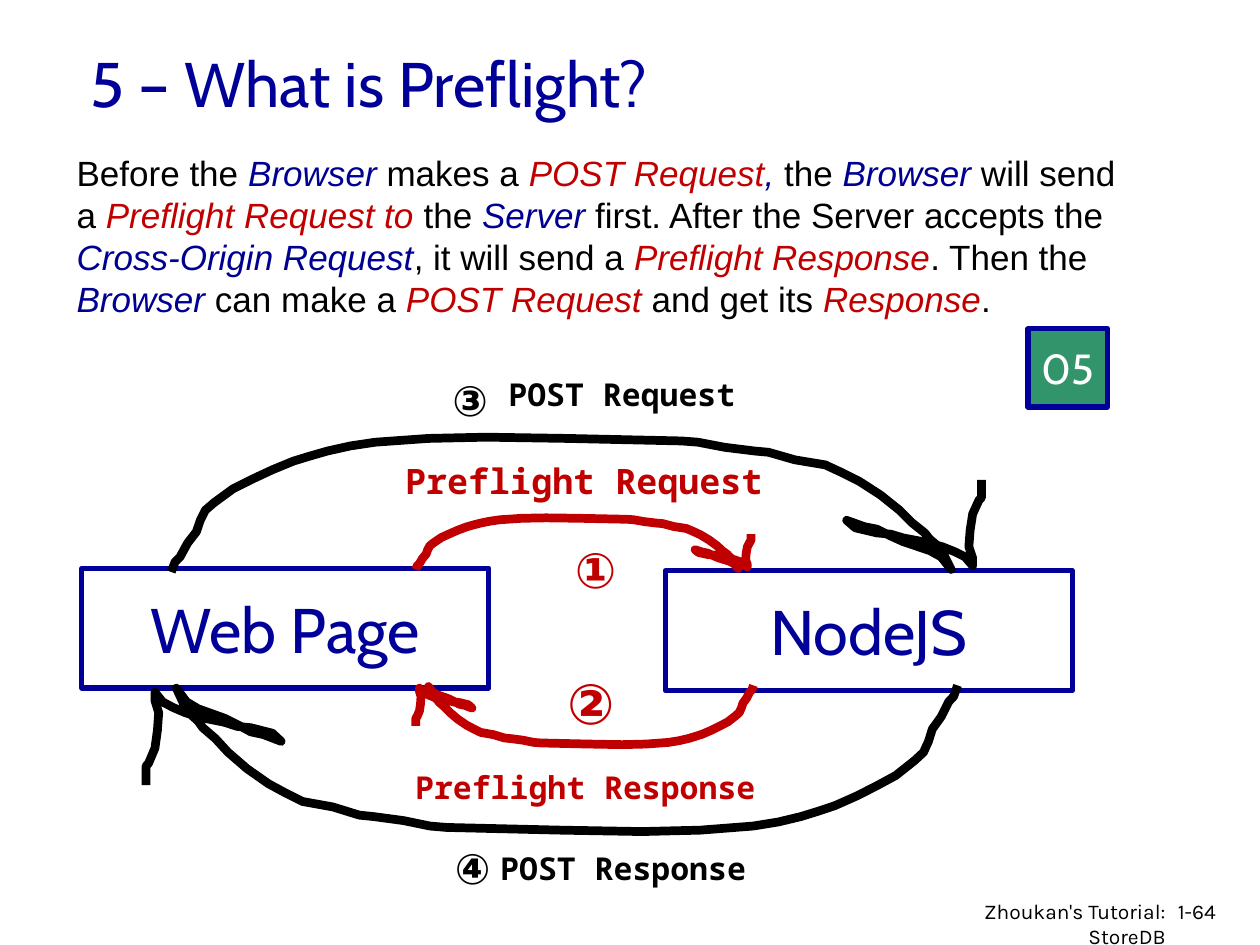
from lxml import etree
from pptx import Presentation
from pptx.dml.color import RGBColor
from pptx.enum.shapes import MSO_SHAPE
from pptx.enum.text import MSO_ANCHOR, PP_ALIGN
from pptx.oxml.ns import qn
from pptx.util import Inches, Pt

LEFT, CENTER, RIGHT = PP_ALIGN.LEFT, PP_ALIGN.CENTER, PP_ALIGN.RIGHT
RECT, PROCESS = MSO_SHAPE.RECTANGLE, MSO_SHAPE.FLOWCHART_PROCESS
TOP, MIDDLE = MSO_ANCHOR.TOP, MSO_ANCHOR.MIDDLE
MONO = "Noto Sans Mono"
BLACK, RED, NAVY, BLUE = "000000", "C00000", "000099", "000090"
WHITE, GREEN = "FFFFFF", "32946A"


def rgb(code):
    return RGBColor.from_string(code)


def write(shape, text, size, face, color, align=LEFT, bold=False, anchor=TOP):
    frame = shape.text_frame
    frame.word_wrap = True
    frame.vertical_anchor = anchor
    para = frame.paragraphs[0]
    para.text = text
    para.alignment = align
    font = para.font
    font.size, font.name, font.bold = Pt(size), face, bold
    font.color.rgb = rgb(color)
    return para


prs = Presentation()
prs.slide_width, prs.slide_height = Inches(10), Inches(7.5)
shapes = prs.slides.add_slide(prs.slide_layouts[6]).shapes

# Boxes: left, top, width, height, preset, fill, text, size, text colour
boxes = [
    (0.65, 4.51, 3.23, 0.95, RECT, WHITE, "Web Page", 36, NAVY),
    (5.28, 4.53, 3.23, 0.95, RECT, WHITE, "NodeJS", 36, NAVY),
    (8.16, 2.61, 0.63, 0.62, PROCESS, GREEN, "05", 24, WHITE),
]
for x, y, w, h, kind, fill, text, size, color in boxes:
    box = shapes.add_shape(kind, Inches(x), Inches(y), Inches(w), Inches(h))
    box.shadow.inherit = False
    box.fill.solid()
    box.fill.fore_color.rgb = rgb(fill)
    box.line.color.rgb = rgb(NAVY)
    box.line.width = Pt(3)
    write(box, text, size, "Cabin", color, CENTER, anchor=MIDDLE)

# Hand-drawn arrow: one outline, fitted to four places
outline = [
    (1.36, 4.54), (1.39, 4.46), (1.43, 4.42), (1.49, 4.31), (1.56, 4.22),
    (1.59, 4.13), (1.63, 4.05), (1.70, 3.99), (1.85, 3.88), (2.01, 3.80),
    (2.16, 3.73), (2.33, 3.66), (2.46, 3.62), (2.60, 3.58), (2.78, 3.54),
    (2.98, 3.51), (3.40, 3.48), (3.86, 3.47), (4.50, 3.48), (5.41, 3.50),
    (5.54, 3.51), (5.75, 3.55), (5.99, 3.58), (6.10, 3.59), (6.31, 3.65),
    (6.55, 3.69), (6.68, 3.75), (6.82, 3.82), (6.99, 3.93), (7.14, 4.05),
    (7.24, 4.15), (7.34, 4.23), (7.38, 4.28), (7.44, 4.33), (7.48, 4.38),
    (7.52, 4.46), (7.55, 4.52), (7.47, 4.42), (7.38, 4.37), (7.17, 4.30),
    (7.06, 4.25), (6.96, 4.20), (6.86, 4.18), (6.72, 4.13), (6.79, 4.19),
    (6.96, 4.23), (7.07, 4.24), (7.17, 4.27), (7.33, 4.30), (7.48, 4.34),
    (7.58, 4.38), (7.66, 4.42), (7.72, 4.49), (7.72, 4.43), (7.69, 4.34),
    (7.70, 4.21), (7.72, 4.08), (7.77, 3.97), (7.79, 3.95), (7.79, 3.81),
]
# Start x, end x, foot y, crest y, colour
arrows = [
    (3.30, 5.96, 4.52, 4.11, RED),
    (5.98, 3.30, 5.44, 5.91, RED),
    (7.60, 1.16, 5.44, 6.60, BLACK),
    (1.36, 7.79, 4.54, 3.47, BLACK),
]
for start, end, foot, crest, color in arrows:
    spots = [(Inches(start + (x - 1.36) / 6.43 * (end - start)),
              Inches(foot + (4.54 - y) / 1.07 * (crest - foot)))
             for x, y in outline]
    pen = shapes.build_freeform(*spots[0], scale=1.0)
    pen.add_line_segments(spots[1:], close=False)
    arrow = pen.convert_to_shape()
    arrow.shadow.inherit = False
    arrow.fill.background()
    arrow.line.color.rgb = rgb(color)
    arrow.line.width = Pt(5)
    etree.SubElement(arrow.line._get_or_add_ln(), qn("a:round"))

# Title, footer, arrow labels and step numbers
labels = [
    (0.62, 0.30, 7.64, 0.71, "5 – What is Preflight?", 36, "Cabin", NAVY, LEFT),
    (9.25, 7.08, 0.50, 0.30, "1-64", 12, "Karla", BLACK, LEFT),
    (6.97, 7.08, 2.38, 0.26, "Zhoukan's Tutorial:\vStoreDB", 12, "Karla", BLACK, RIGHT),
    (3.02, 3.60, 3.23, 0.44, "Preflight Request", 20, MONO, RED, CENTER),
    (3.18, 6.05, 2.93, 0.40, "Preflight Response", 18, MONO, RED, CENTER),
    (3.91, 2.93, 2.05, 0.40, "POST Request", 18, MONO, BLACK, CENTER),
    (3.79, 6.69, 2.31, 0.40, "POST Response", 18, MONO, BLACK, CENTER),
    (4.15, 4.23, 0.84, 0.57, "①", 28, MONO, RED, RIGHT),
    (4.25, 5.26, 0.73, 0.64, "②", 32, MONO, RED, RIGHT),
    (3.43, 2.92, 0.54, 0.50, "③", 24, MONO, BLACK, RIGHT),
    (3.41, 6.64, 0.58, 0.50, "④", 24, MONO, BLACK, RIGHT),
]
for x, y, w, h, text, size, face, color, align in labels:
    label = shapes.add_textbox(Inches(x), Inches(y), Inches(w), Inches(h))
    write(label, text, size, face, color, align, bold=face == MONO)

# Explanation, with coloured terms in italics
words = [
    ("Before the ", BLACK), ("Browser ", BLUE), ("makes a ", BLACK),
    ("POST Request", RED), (",", BLUE), (" the ", BLACK), ("Browser ", BLUE),
    ("will send a ", BLACK), ("Preflight Request to ", RED), ("the ", BLACK),
    ("Server", BLUE), (" first. After the Server accepts the ", BLACK),
    ("Cross-Origin Request", BLUE), (", it will send a ", BLACK),
    ("Preflight Response", RED), (". Then the ", BLACK), ("Browser", BLUE),
    (" can make a ", BLACK), ("POST Request ", RED),
    ("and get its ", BLACK), ("Response", RED), (".", BLACK),
]
body = shapes.add_textbox(Inches(0.51), Inches(1.15), Inches(8.63), Inches(1.45))
para = write(body, "", 20, "Arial", BLACK)
for text, color in words:
    run = para.add_run()
    run.text = text
    run.font.color.rgb = rgb(color)
    run.font.italic = color != BLACK

prs.save("out.pptx")
